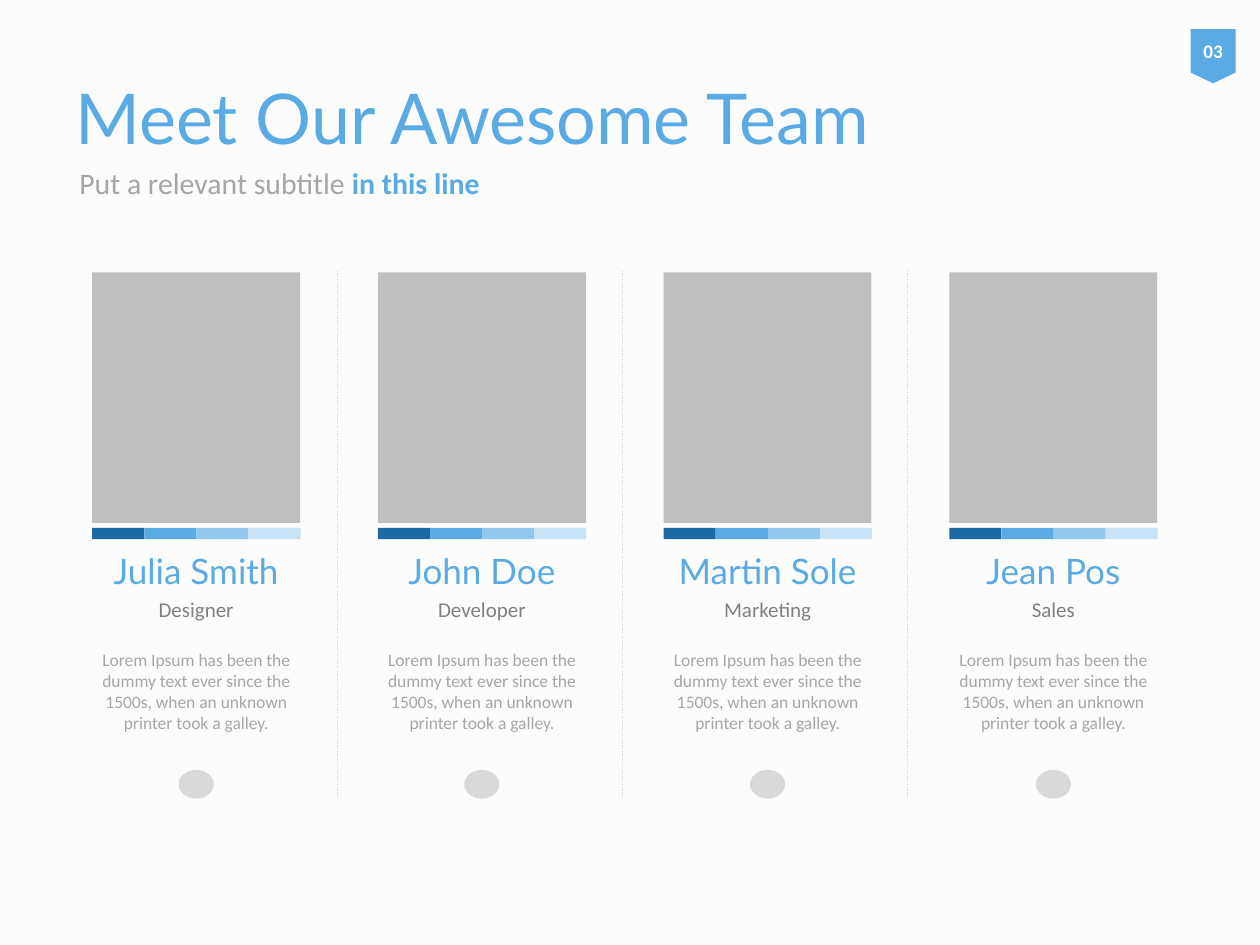
from dataclasses import dataclass

from lxml.etree import SubElement
from pptx import Presentation
from pptx.dml.color import RGBColor
from pptx.enum.dml import MSO_LINE
from pptx.enum.shapes import MSO_CONNECTOR, MSO_SHAPE
from pptx.enum.text import MSO_ANCHOR, MSO_AUTO_SIZE, PP_ALIGN
from pptx.oxml.ns import qn
from pptx.shapes.autoshape import Shape
from pptx.slide import Slide
from pptx.text.text import Font
from pptx.util import Cm, Pt

COLORS = {
    "background": "FCFCFC",
    "accent": "5AAAE4",
    "subtitle": "A6A6A6",
    "role": "808080",
    "photo": "BFBFBF",
    "light": "D9D9D9",
    "white": "FFFFFF",
}
STRIPE_COLORS = ["1B6AA3", COLORS["accent"], "91C6ED", "C8E3F6"]
BIO = ("Lorem Ipsum has been the dummy text ever since the 1500s, "
       "when an unknown printer took a galley.")

# Card grid, in centimetres
FIRST_CARD, CARD_PITCH, CARD_WIDTH = 1.86, 5.76, 4.19
FIRST_DIVIDER, DIVIDER_PITCH = 6.81, 5.74
STRIPE_WIDTH = 1.05
ICON_WIDTH = 0.71


@dataclass
class Member:
    name: str
    role: str


@dataclass
class TextStyle:
    font: str
    size: float
    color: str
    bold: bool = False


@dataclass
class CardLine:
    """Centred text of a card: top, width and height in centimetres."""
    top: float
    width: float
    height: float
    style: TextStyle


TITLE = TextStyle("Lato", 40, COLORS["accent"])
SUBTITLE = TextStyle("Calibri", 17, COLORS["subtitle"])
HIGHLIGHT = TextStyle("Calibri", 17, COLORS["accent"], True)
PAGE_NUMBER = TextStyle("Calibri", 11, COLORS["white"], True)

BIO_LINE = CardLine(12.95, 4.7, 2.18, TextStyle("Calibri", 10, COLORS["subtitle"]))
NAME_LINE = CardLine(10.95, 4.19, 1.7, TextStyle("Lato", 20, COLORS["accent"]))
ROLE_LINE = CardLine(11.91, 4.52, 1.22, TextStyle("Calibri", 12, COLORS["role"]))

MEMBERS = [
    Member("Julia Smith", "Designer"),
    Member("John Doe", "Developer"),
    Member("Martin Sole", "Marketing"),
    Member("Jean Pos", "Sales"),
]


def apply_style(font: Font, style: TextStyle) -> None:
    font.name = style.font
    font.size = Pt(style.size)
    font.bold = style.bold
    font.color.rgb = RGBColor.from_string(style.color)


def add_filled(slide: Slide, kind: MSO_SHAPE, left: float, top: float,
               width: float, height: float, color: str) -> Shape:
    filled = slide.shapes.add_shape(kind, Cm(left), Cm(top), Cm(width), Cm(height))
    filled.shadow.inherit = False
    filled.fill.solid()
    filled.fill.fore_color.rgb = RGBColor.from_string(color)
    filled.line.fill.background()
    return filled


def add_card_text(slide: Slide, center: float, words: str, line: CardLine) -> None:
    box = slide.shapes.add_textbox(Cm(center - line.width / 2), Cm(line.top),
                                   Cm(line.width), Cm(line.height))
    box.text_frame.word_wrap = True
    box.text_frame.text = words
    paragraph = box.text_frame.paragraphs[0]
    paragraph.alignment = PP_ALIGN.CENTER
    apply_style(paragraph.runs[0].font, line.style)


def add_divider(slide: Slide, x: float) -> None:
    divider = slide.shapes.add_connector(MSO_CONNECTOR.STRAIGHT,
                                         Cm(x), Cm(5.46), Cm(x), Cm(16.1))
    divider.line.color.rgb = RGBColor.from_string(COLORS["light"])
    divider.line.width = Pt(0.75)
    divider.line.dash_style = MSO_LINE.ROUND_DOT
    SubElement(divider._element.spPr, qn("a:effectLst"))


def add_card(slide: Slide, left: float, member: Member) -> None:
    center = left + CARD_WIDTH / 2
    add_card_text(slide, center, BIO, BIO_LINE)
    add_card_text(slide, center, member.name, NAME_LINE)
    add_card_text(slide, center, member.role, ROLE_LINE)
    add_filled(slide, MSO_SHAPE.RECTANGLE, left, 5.49, CARD_WIDTH, 5.05, COLORS["photo"])
    for index, color in enumerate(STRIPE_COLORS):
        add_filled(slide, MSO_SHAPE.RECTANGLE, left + index * STRIPE_WIDTH, 10.64,
                   STRIPE_WIDTH, 0.23, color)
    # Social icon as a plain oval
    add_filled(slide, MSO_SHAPE.OVAL, center - ICON_WIDTH / 2, 15.52,
               ICON_WIDTH, 0.58, COLORS["light"])


def add_heading(slide: Slide) -> None:
    # Subtitle with a highlighted ending
    subtitle = slide.shapes.add_textbox(Cm(1.35), Cm(3), Cm(22.86), Cm(1.35))
    subtitle.text_frame.word_wrap = True
    subtitle.text_frame.vertical_anchor = MSO_ANCHOR.MIDDLE
    paragraph = subtitle.text_frame.paragraphs[0]
    for words, style in [("Put a relevant subtitle ", SUBTITLE),
                         ("in this line", HIGHLIGHT)]:
        run = paragraph.add_run()
        run.text = words
        apply_style(run.font, style)

    # Title
    title = slide.shapes.title
    title.left, title.top, title.width, title.height = Cm(1.27), Cm(0.76), Cm(22.86), Cm(3.18)
    title.text_frame.text = "Meet Our Awesome Team"
    title.text_frame.auto_size = MSO_AUTO_SIZE.NONE
    title.text_frame.vertical_anchor = MSO_ANCHOR.MIDDLE
    title.text_frame.paragraphs[0].alignment = PP_ALIGN.LEFT
    apply_style(title.text_frame.paragraphs[0].runs[0].font, TITLE)


def add_page_badge(slide: Slide) -> None:
    badge = add_filled(slide, MSO_SHAPE.FLOWCHART_OFFPAGE_CONNECTOR,
                       24, 0.59, 0.91, 1.09, COLORS["accent"])
    frame = badge.text_frame
    frame.margin_left = frame.margin_right = 0
    frame.vertical_anchor = MSO_ANCHOR.MIDDLE
    frame.text = "03"
    frame.paragraphs[0].alignment = PP_ALIGN.CENTER
    apply_style(frame.paragraphs[0].runs[0].font, PAGE_NUMBER)


def main() -> None:
    deck = Presentation()
    deck.slide_width, deck.slide_height = Cm(25.4), Cm(19.05)
    slide = deck.slides.add_slide(deck.slide_layouts.get_by_name("Title Only"))
    slide.background.fill.solid()
    slide.background.fill.fore_color.rgb = RGBColor.from_string(COLORS["background"])

    add_heading(slide)
    for index in range(len(MEMBERS) - 1):
        add_divider(slide, FIRST_DIVIDER + index * DIVIDER_PITCH)
    for index, member in enumerate(MEMBERS):
        add_card(slide, FIRST_CARD + index * CARD_PITCH, member)
    add_page_badge(slide)

    deck.save("out.pptx")


if __name__ == "__main__":
    main()
